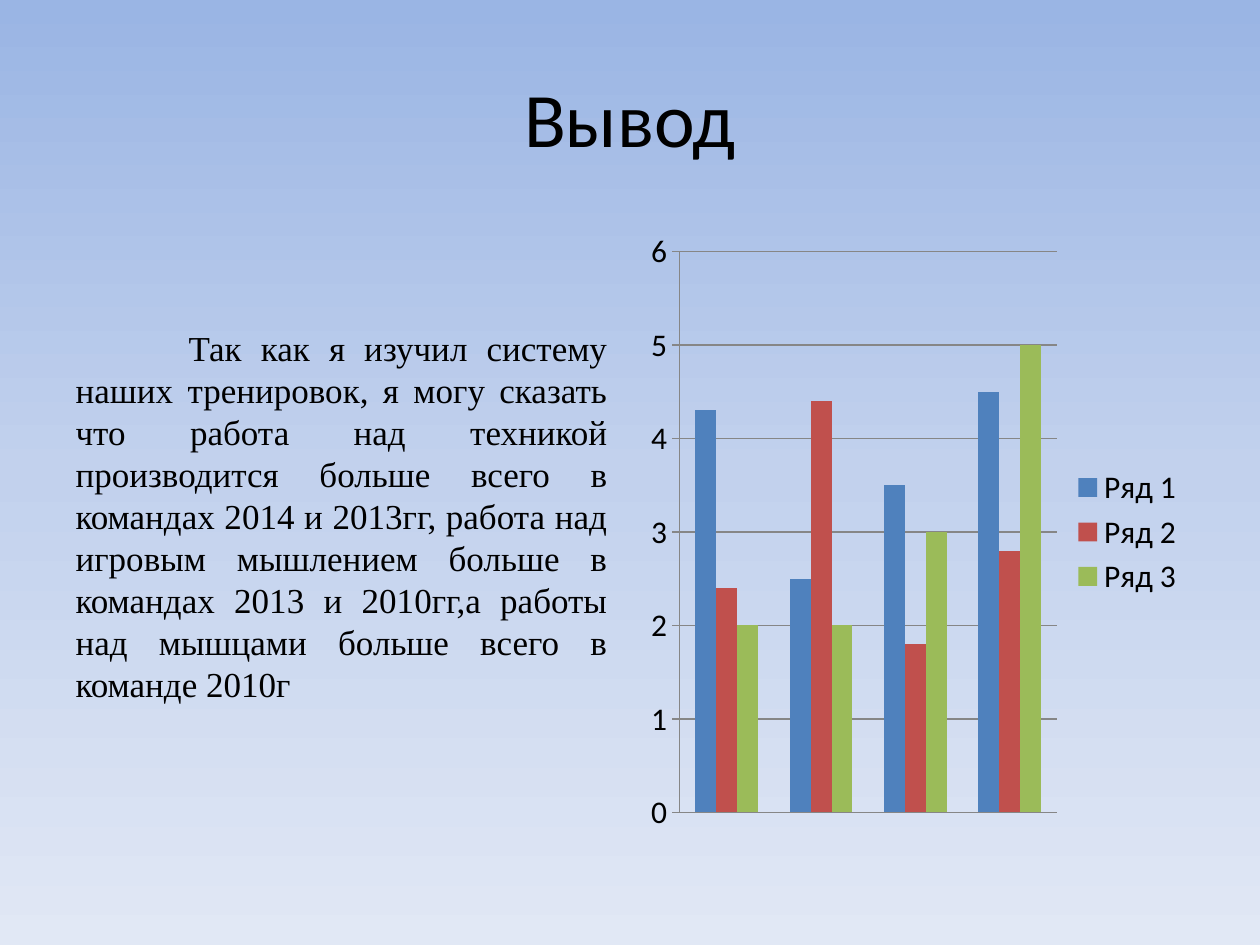
"""Build the conclusion slide: a justified paragraph beside a clustered column chart."""
from copy import deepcopy

from pptx import Presentation
from pptx.chart.data import CategoryChartData
from pptx.dml.color import RGBColor
from pptx.enum.chart import XL_CHART_TYPE, XL_LEGEND_POSITION, XL_TICK_MARK
from pptx.enum.text import MSO_ANCHOR, MSO_AUTO_SIZE, PP_ALIGN
from pptx.oxml.ns import qn
from pptx.util import Pt

COLUMNS = XL_CHART_TYPE.COLUMN_CLUSTERED
LEGEND_RIGHT = XL_LEGEND_POSITION.RIGHT
TICK_OUT, TICK_NONE = XL_TICK_MARK.OUTSIDE, XL_TICK_MARK.NONE
TOP, MIDDLE = MSO_ANCHOR.TOP, MSO_ANCHOR.MIDDLE
CENTER, JUSTIFY = PP_ALIGN.CENTER, PP_ALIGN.JUSTIFY
NO_FIT = MSO_AUTO_SIZE.NONE

TITLE = "Вывод"
CONCLUSION = (
    "Так как я изучил систему наших тренировок, я могу сказать что работа "
    "над техникой производится больше всего в командах 2014 и 2013гг, работа "
    "над игровым мышлением больше в командах 2013 и 2010гг,а работы над "
    "мышцами больше всего в команде 2010г"
)
CATEGORIES = ("1", "2", "3", "4")
SERIES = {
    "Ряд 1": (4.3, 2.5, 3.5, 4.5),
    "Ряд 2": (2.4, 4.4, 1.8, 2.8),
    "Ряд 3": (2, 2, 3, 5),
}

THEME = {
    "heading_font": "Calibri", "body_font": "Times New Roman",
    "title_size": 44, "body_size": 20, "body_leading": 24, "chart_size": 18,
    "text": "000000", "grid": "868686",
    "series": ("4F81BD", "C0504D", "9BBB59"),
    "background": ((0, "9AB5E4"), (0.5, "C2D1ED"), (1, "E1E8F5")),
}

EMU_PER_PX = 914400 // 126
SLIDE_W, SLIDE_H = 1260, 945
MARGIN, TITLE_TOP, TITLE_H = 63, 38, 157
CONTENT_TOP, CONTENT_H, COLUMN_W = 220, 624, 557
TEXT_DROP, FIRST_INDENT = 106, 113


def px(length):
    return length * EMU_PER_PX


def color(name):
    return RGBColor.from_string(name)


def place(shape, left, top, width, height):
    shape.left, shape.top, shape.width, shape.height = map(px, (left, top, width, height))


def style(font, family, size):
    font.name, font.size = family, Pt(size)
    font.color.rgb = color(THEME["text"])


def paint_background(slide):
    fill = slide.background.fill
    fill.gradient()
    fill.gradient_angle = 270
    stop_list = next(slide.element.iter(qn("a:gsLst")))
    stop_list.insert(1, deepcopy(stop_list[0]))
    for stop, (position, shade) in zip(fill.gradient_stops, THEME["background"]):
        stop.position = position
        stop.color.rgb = color(shade)


def write(placeholder, text, align, anchor, family, size):
    frame = placeholder.text_frame
    frame.text = text
    frame.word_wrap, frame.auto_size, frame.vertical_anchor = True, NO_FIT, anchor
    paragraph = frame.paragraphs[0]
    paragraph.alignment = align
    paragraph.space_before = Pt(0)
    style(paragraph.runs[0].font, family, size)
    return frame


def add_conclusion(placeholder):
    place(placeholder, MARGIN, CONTENT_TOP, COLUMN_W, CONTENT_H)
    frame = write(placeholder, CONCLUSION, JUSTIFY, TOP, THEME["body_font"], THEME["body_size"])
    frame.margin_top = px(TEXT_DROP)
    paragraph = frame.paragraphs[0]
    paragraph.line_spacing = Pt(THEME["body_leading"])
    properties = paragraph._p.get_or_add_pPr()
    properties.set("marL", "0")
    properties.set("indent", str(px(FIRST_INDENT)))
    properties.append(properties.makeelement(qn("a:buNone"), {}))


def add_columns(slide):
    data = CategoryChartData()
    data.categories = CATEGORIES
    for name, values in SERIES.items():
        data.add_series(name, values)
    left = SLIDE_W - MARGIN - COLUMN_W
    bounds = map(px, (left, CONTENT_TOP, COLUMN_W, CONTENT_H))
    chart = slide.shapes.add_chart(COLUMNS, *bounds, data).chart
    style(chart.font, THEME["heading_font"], THEME["chart_size"])
    chart.has_title = False
    chart.has_legend = True
    chart.legend.position = LEGEND_RIGHT
    chart.legend.include_in_layout = False
    chart.category_axis.visible = False
    axis = chart.value_axis
    axis.major_tick_mark, axis.minor_tick_mark = TICK_OUT, TICK_NONE
    axis.minimum_scale, axis.maximum_scale, axis.major_unit = 0, 6, 1
    axis.has_major_gridlines = True
    for line in (axis.format.line, axis.major_gridlines.format.line):
        line.color.rgb = color(THEME["grid"])
        line.width = Pt(0.75)
    plot = chart.plots[0]
    plot.gap_width, plot.overlap, plot.vary_by_categories = 150, 0, False
    for series, shade in zip(plot.series, THEME["series"]):
        series.format.fill.solid()
        series.format.fill.fore_color.rgb = color(shade)


def main():
    deck = Presentation()
    deck.slide_width, deck.slide_height = px(SLIDE_W), px(SLIDE_H)
    slide = deck.slides.add_slide(deck.slide_layouts[1])
    paint_background(slide)
    title = slide.shapes.title
    place(title, MARGIN, TITLE_TOP, SLIDE_W - 2 * MARGIN, TITLE_H)
    write(title, TITLE, CENTER, MIDDLE, THEME["heading_font"], THEME["title_size"])
    add_columns(slide)
    add_conclusion(slide.placeholders[1])
    deck.save("out.pptx")


if __name__ == "__main__":
    main()
